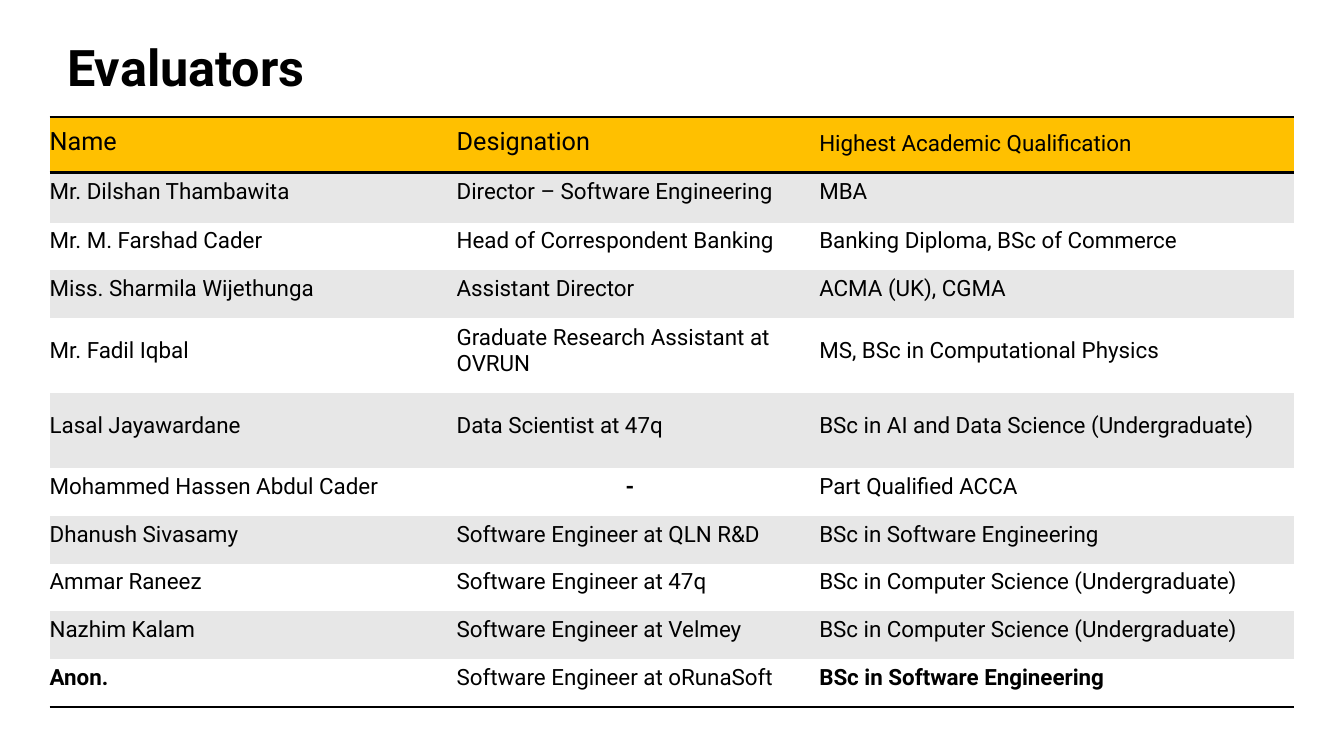
from lxml.etree import SubElement
from pptx import Presentation
from pptx.dml.color import RGBColor
from pptx.enum.text import MSO_ANCHOR, PP_ALIGN
from pptx.oxml.ns import qn
from pptx.util import Pt

BLACK = RGBColor(0x00, 0x00, 0x00)
WHITE = RGBColor(0xFF, 0xFF, 0xFF)
GREY = RGBColor(0xE7, 0xE7, 0xE7)
AMBER = RGBColor(0xFF, 0xC0, 0x00)
FONT = "Roboto"
NO_STYLE = "{2D5ABB26-0587-4C30-8999-92F81FD0307C}"

HEADER = ("Name", "Designation", "Highest Academic Qualification")
EVALUATORS = [
    ("Mr. Dilshan Thambawita", "Director – Software Engineering", "MBA"),
    ("Mr. M. Farshad Cader", "Head of Correspondent Banking", "Banking Diploma, BSc of Commerce"),
    ("Miss. Sharmila Wijethunga", "Assistant Director", "ACMA (UK), CGMA"),
    ("Mr. Fadil Iqbal", "Graduate Research Assistant at OVRUN", "MS, BSc in Computational Physics"),
    ("Lasal Jayawardane", "Data Scientist at 47q", "BSc in AI and Data Science (Undergraduate)"),
    ("Mohammed Hassen Abdul Cader", "-", "Part Qualified ACCA"),
    ("Dhanush Sivasamy", "Software Engineer at QLN R&D", "BSc in Software Engineering"),
    ("Ammar Raneez", "Software Engineer at 47q", "BSc in Computer Science (Undergraduate)"),
    ("Nazhim Kalam", "Software Engineer at Velmey", "BSc in Computer Science (Undergraduate)"),
    ("Anon.", "Software Engineer at oRunaSoft", "BSc in Software Engineering"),
]
COL_SHARES = (4.04, 3.6, 4.71)
ROW_HEIGHTS = [39.6, 36, 33.8, 33.8, 53.6, 53.6] + [33.8] * 5


def write(tf, text, size=16, bold=False, align=PP_ALIGN.LEFT, spacing=1.0):
    tf.word_wrap = True
    p = tf.paragraphs[0]
    p.alignment = align
    p.line_spacing = spacing
    r = p.add_run()
    r.text = text
    r.font.name = FONT
    r.font.size = Pt(size)
    r.font.bold = bold
    r.font.color.rgb = BLACK


def add_border(cell, side, width=2):
    ln = SubElement(cell._tc.get_or_add_tcPr(), qn(f"a:ln{side}"), w=str(Pt(width)))
    SubElement(SubElement(ln, qn("a:solidFill")), qn("a:srgbClr"), val=str(BLACK))


def style_cell(cell, fill, sides, anchor, top):
    cell.margin_left, cell.margin_top = 0, Pt(top)
    cell.margin_right = cell.margin_bottom = Pt(11.3)
    cell.vertical_anchor = anchor
    for side in sides:
        add_border(cell, side)
    cell.fill.solid()
    cell.fill.fore_color.rgb = fill


def add_title(slide, text, left, top, width, height):
    tf = slide.shapes.add_textbox(Pt(left), Pt(top), Pt(width), Pt(height)).text_frame
    tf.margin_left = 0
    tf.vertical_anchor = MSO_ANCHOR.BOTTOM
    write(tf, text, size=36, bold=True, spacing=0.9)


def add_evaluators(slide, left, top, width):
    rows = [HEADER] + EVALUATORS
    last = len(rows) - 1
    table = slide.shapes.add_table(
        len(rows), len(HEADER), Pt(left), Pt(top), Pt(width), Pt(sum(ROW_HEIGHTS))
    ).table
    table.first_row = table.horz_banding = False
    table._tbl.tblPr.find(qn("a:tableStyleId")).text = NO_STYLE
    for column, share in zip(table.columns, COL_SHARES):
        column.width = Pt(round(width * share / sum(COL_SHARES), 2))
    for i, (values, height) in enumerate(zip(rows, ROW_HEIGHTS)):
        table.rows[i].height = Pt(height)
        for j, text in enumerate(values):
            cell = table.cell(i, j)
            if i == 0:
                style_cell(cell, AMBER, "TB", MSO_ANCHOR.BOTTOM, 2.2)
                write(cell.text_frame, text, size=16 if j == 2 else 18)
                continue
            style_cell(cell, GREY if i % 2 else WHITE, "B" if i == last else "",
                       MSO_ANCHOR.MIDDLE, 3.6)
            dash = text == "-"
            write(cell.text_frame, text, bold=dash or (i == last and j != 1),
                  align=PP_ALIGN.CENTER if dash else PP_ALIGN.LEFT)


def main():
    prs = Presentation()
    prs.slide_width, prs.slide_height = Pt(960), Pt(540)
    slide = prs.slides.add_slide(prs.slide_layouts[6])
    add_title(slide, "Evaluators", 48, 19.5, 841, 53.5)
    add_evaluators(slide, 35.5, 83.5, 888.7)
    prs.save("out.pptx")


if __name__ == "__main__":
    main()
